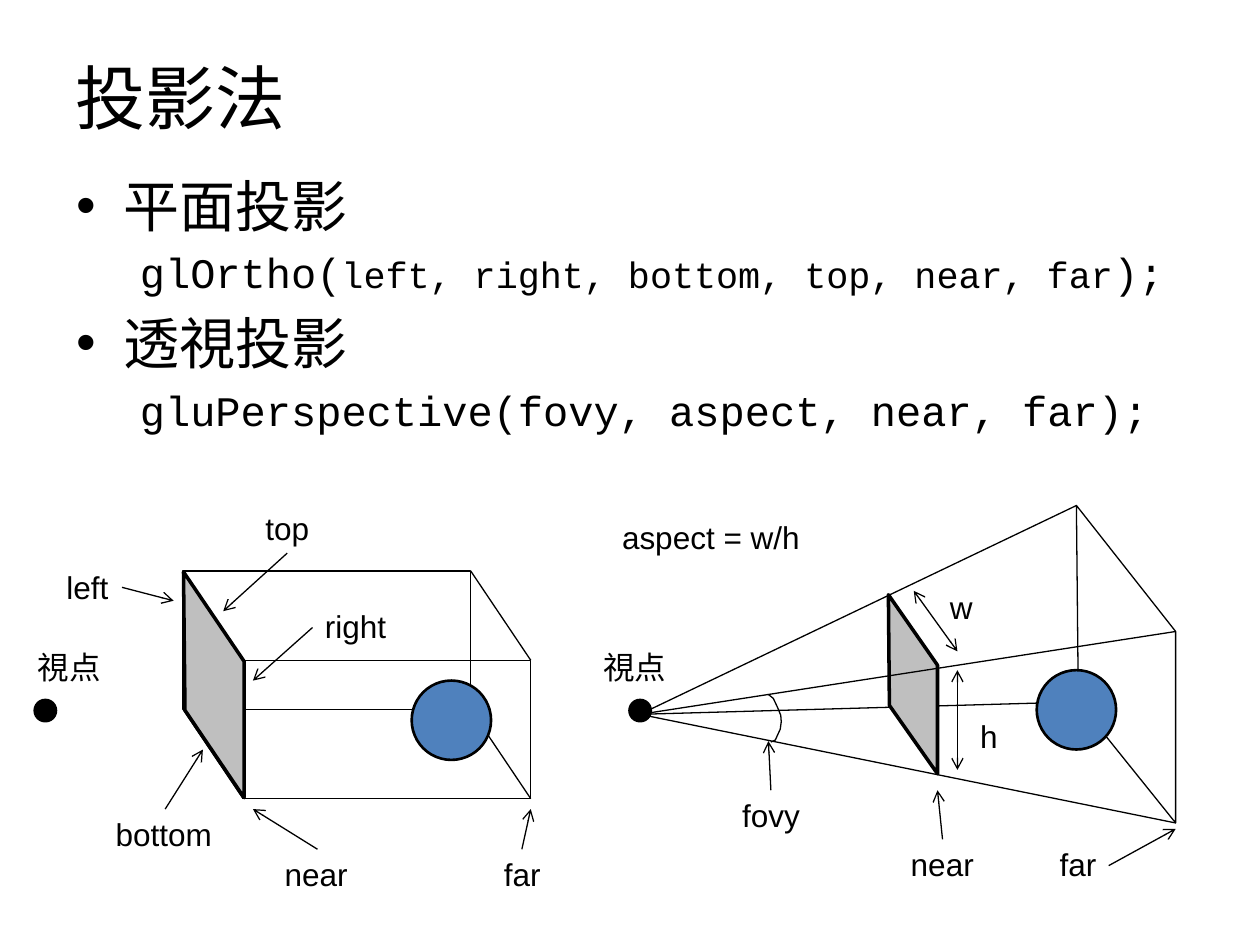
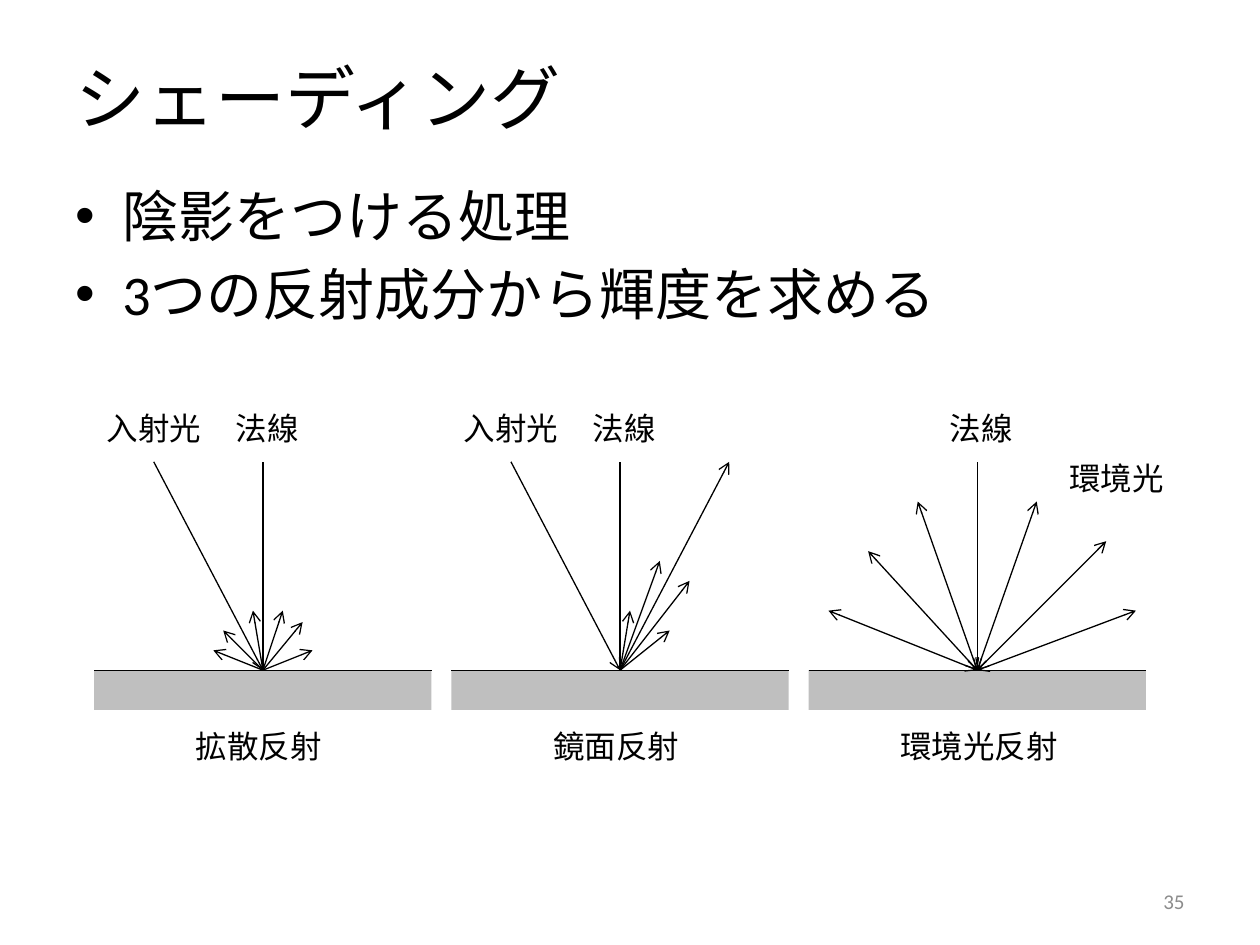
from lxml.etree import SubElement
from pptx import Presentation
from pptx.dml.color import RGBColor
from pptx.enum.shapes import MSO_CONNECTOR as Connector, MSO_SHAPE as Preset
from pptx.enum.text import MSO_ANCHOR as Anchor, MSO_AUTO_SIZE as AutoSize, PP_ALIGN as Align
from pptx.oxml.ns import qn
from pptx.util import Cm, Pt

BLACK, GREY, BLUE, PALE = "000000", "BFBFBF", "4F81BD", "8C8C8C"
SANS, LABEL_FONT, CODE_FONT = "Calibri", "Arial", "Courier New"
THIN, MEDIUM, THICK = 0.75, 1.5, 2
LABEL_HEIGHT = 1.02
INDENT = 0.95


def colour(code):
    return RGBColor.from_string(code)


class Page:
    """The current slide and the style its elements share."""

    def __init__(self, deck, title):
        self.slide = deck.slides.add_slide(deck.slide_layouts[5])
        self.shapes = self.slide.shapes
        box = self.shapes.title
        box.left, box.top, box.width, box.height = Cm(1.27), Cm(0.76), Cm(22.86), Cm(2.36)
        box.text_frame.text = title
        box.text_frame.vertical_anchor = Anchor.MIDDLE
        para = box.text_frame.paragraphs[0]
        para.alignment = Align.LEFT
        self.style(para.runs[0], 40, SANS)

    def style(self, span, size, font, code=BLACK):
        span.font.size = Pt(size)
        span.font.name = font
        span.font.color.rgb = colour(code)

    def paint(self, shape, fill, width):
        shape.shadow.inherit = False
        if fill:
            shape.fill.solid()
            shape.fill.fore_color.rgb = colour(fill)
        else:
            shape.fill.background()
        if width:
            shape.line.color.rgb = colour(BLACK)
            shape.line.width = Pt(width)
        else:
            shape.line.fill.background()

    def textbox(self, left, top, width, height=LABEL_HEIGHT):
        box = self.shapes.add_textbox(Cm(left), Cm(top), Cm(width), Cm(height))
        box.text_frame.word_wrap = True
        return box.text_frame

    def label(self, text, left, top, width):
        frame = self.textbox(left, top, width)
        frame.word_wrap = False
        frame.auto_size = AutoSize.SHAPE_TO_FIT_TEXT
        frame.text = text
        self.style(frame.paragraphs[0].runs[0], 18, LABEL_FONT)

    def number(self, text):
        frame = self.textbox(18.21, 17.65, 5.92)
        frame.text = text
        frame.vertical_anchor = Anchor.MIDDLE
        para = frame.paragraphs[0]
        para.alignment = Align.RIGHT
        self.style(para.runs[0], 12, SANS, PALE)

    def body(self, left, top, items):
        """A string is a bullet; a list of (text, size) is a line of code."""
        frame = self.textbox(left, top, 22.86, 14)
        for index, item in enumerate(items):
            para = frame.add_paragraph() if index else frame.paragraphs[0]
            if isinstance(item, str):
                self.bullet(para, item)
            else:
                self.code(para, item)

    def bullet(self, para, text):
        para.text = text
        para.space_before = Pt(6.4)
        self.style(para.runs[0], 32, SANS)
        props = para._p.get_or_add_pPr()
        props.set("marL", str(Cm(INDENT)))
        props.set("indent", str(-Cm(INDENT)))
        SubElement(props, qn("a:buFont"), typeface="Arial")
        SubElement(props, qn("a:buChar"), char="•")

    def code(self, para, parts):
        para.space_before = Pt(4.8)
        for text, size in parts:
            span = para.add_run()
            span.text = text
            self.style(span, size, CODE_FONT)
        props = para._p.get_or_add_pPr()
        props.set("marL", str(Cm(2.06)))
        props.set("indent", str(-Cm(0.79)))
        SubElement(props, qn("a:buNone"))

    def preset(self, kind, left, top, width, height, fill=None, line=THIN):
        shape = self.shapes.add_shape(kind, Cm(left), Cm(top), Cm(width), Cm(height))
        self.paint(shape, fill, line)

    def circle(self, left, top, size, fill, line):
        self.preset(Preset.OVAL, left, top, size, size, fill, line)

    def outline(self, points, fill=None, line=THIN, close=True):
        corners = [(Cm(x), Cm(y)) for x, y in points]
        builder = self.shapes.build_freeform(*corners[0])
        builder.add_line_segments(corners[1:], close=close)
        self.paint(builder.convert_to_shape(), fill, line)

    def line(self, start, end, heads=()):
        """heads may hold "headEnd" (at start) and "tailEnd" (at end)."""
        link = self.shapes.add_connector(
            Connector.STRAIGHT, *(Cm(value) for value in (*start, *end)))
        link.line.color.rgb = colour(BLACK)
        link.line.width = Pt(THIN)
        for head in heads:
            SubElement(link.line._get_or_add_ln(), qn("a:" + head), type="arrow")
        SubElement(link._element.spPr, qn("a:effectLst"))

    def arrow(self, start, end):
        self.line(start, end, ["tailEnd"])

    def double_arrow(self, start, end):
        self.line(start, end, ["headEnd", "tailEnd"])

    def viewpoint(self, left):
        self.circle(left, 14.12, 0.41, BLACK, THICK)
        self.label("視点", left - 0.2 if left < 1 else left - 0.79, 12.93, 1.8)


def draw_parallel_view(page):
    # Box-shaped view volume
    left, top, width, height = 4.9, 13.31, 5.8, 2.79
    shift_x, shift_y = 1.21, 1.8
    page.preset(Preset.RECTANGLE, left - shift_x, top - shift_y, width, height)
    page.preset(Preset.RECTANGLE, left, top, width, height)
    for x in (left, left + width):
        for y in (top, top + height):
            page.line((x, y), (x - shift_x, y - shift_y))
    page.circle(8.3, 13.72, 1.6, BLUE, MEDIUM)
    page.outline([(3.7, 11.53), (4.92, 13.33), (4.92, 16.08), (3.73, 14.32)], GREY, THICK)

    # Names of the clipping planes: label place and width, then arrow
    for name, x, y, wide, start, end in (
        ("bottom", 2.08, 16.31, 2.46, (3.33, 16.31), (4.09, 15.11)),
        ("near", 5.49, 17.12, 1.8, (6.4, 17.12), (5.1, 16.31)),
        ("far", 9.91, 17.12, 1.27, (10.52, 17.12), (10.7, 16.31)),
        ("top", 5.1, 10.13, 1.4, (5.79, 11.15), (4.5, 12.32)),
        ("left", 1.09, 11.33, 1.37, (2.46, 11.84), (3.5, 12.11)),
        ("right", 6.3, 12.12, 1.75, (6.3, 12.65), (5.1, 13.72)),
    ):
        page.label(name, x, y, wide)
        page.arrow(start, end)
    page.viewpoint(0.71)


def draw_perspective_view(page):
    # Pyramid-shaped view volume
    eye = (12.9, 14.4)
    far_plane = [(21.7, 10.19), (23.7, 12.73), (23.7, 16.59), (21.74, 14.15)]
    back_top, front_top, front_bottom, back_bottom = far_plane
    page.line(back_top, eye)
    page.line(back_bottom, eye)
    page.outline([(17.91, 11.99), (18.9, 13.41), (18.9, 15.6), (17.93, 14.22)], GREY, THICK)
    page.outline(far_plane)
    page.line(front_bottom, eye)
    page.line(front_top, eye)

    # Field-of-view angle
    page.outline([(15.49, 14), (15.59, 14.08), (15.67, 14.25), (15.74, 14.42), (15.75, 14.55),
                  (15.73, 14.7), (15.67, 14.83), (15.63, 14.92), (15.54, 14.96)], close=False)

    # Names with arrows
    for name, x, y, wide, start, end in (
        ("near", 18.11, 16.92, 1.8, (19, 16.92), (18.9, 15.93)),
        ("far", 21.11, 16.92, 1.27, (22.35, 17.45), (23.7, 16.71)),
        ("fovy", 14.71, 15.93, 1.68, (15.54, 15.93), (15.49, 14.94)),
    ):
        page.label(name, x, y, wide)
        page.arrow(start, end)
    page.viewpoint(12.7)

    # Aspect ratio
    page.label("aspect = w/h", 12.29, 10.31, 4.14)
    page.double_arrow((18.42, 11.91), (19.3, 13.13))
    page.double_arrow((19.3, 15.52), (19.3, 13.51))
    page.label("w", 18.9, 11.73, 0.97)
    page.label("h", 19.51, 14.33, 0.86)
    page.circle(20.9, 13.51, 1.6, BLUE, MEDIUM)


def draw_reflections(page):
    ground, normal, panel_width, pitch = 13.51, 4.2, 6.8, 7.2
    # Name, its offset and width, lit by one incoming ray, reflected rays
    panels = (
        ("拡散反射", 1.8, 3.07, True,
         [(0.4, 1.2), (0.8, 0.97), (1, 0.4), (-1, 0.4), (-0.8, 0.8), (-0.2, 1.2)]),
        ("鏡面反射", 1.8, 3.07, True,
         [(0.8, 2.2), (2.2, 4.2), (1.4, 1.8), (0.2, 1.2), (1, 0.8)]),
        ("環境光反射", 1.6, 3.71, False,
         [(1.2, 3.4), (2.6, 2.6), (3.2, 1.2), (-3, 1.2), (-2.2, 2.4), (-1.2, 3.4)]),
    )
    for index, (name, offset, wide, incoming, rays) in enumerate(panels):
        left = 1.9 + index * pitch
        foot = left + panel_width / 2
        page.preset(Preset.RECTANGLE, left, ground, panel_width, 0.8, GREY, None)
        page.line((left, ground), (left + panel_width, ground))
        page.line((foot, ground), (foot, ground - normal))
        page.label("法線", left + 2.6, 8.13, 1.8)
        if incoming:
            page.label("入射光", left, 8.13, 2.44)
            page.arrow((foot - 2.2, ground - normal), (foot, ground))
        else:
            page.label("環境光", 21.31, 9.12, 2.44)
        draw_ray = page.arrow if incoming else page.double_arrow
        for across, up in rays:
            draw_ray((foot, ground), (foot + across, ground - up))
        page.label(name, left + offset, 14.53, wide)


def main():
    deck = Presentation()
    deck.slide_width, deck.slide_height = Cm(25.4), Cm(19.05)

    # Projection
    page = Page(deck, "投影法")
    page.body(1.3, 3.33, [
        "平面投影",
        [("glOrtho(", 24), ("left, right, bottom, top, near, far", 21), (");", 24)],
        "透視投影",
        [("gluPerspective(fovy, aspect, near, far);", 24)],
    ])
    draw_parallel_view(page)
    draw_perspective_view(page)

    # Shading
    page = Page(deck, "シェーディング")
    page.body(1.27, 3.53, ["陰影をつける処理", "3つの反射成分から輝度を求める"])
    draw_reflections(page)
    page.number("35")

    deck.save("out.pptx")


if __name__ == "__main__":
    main()
